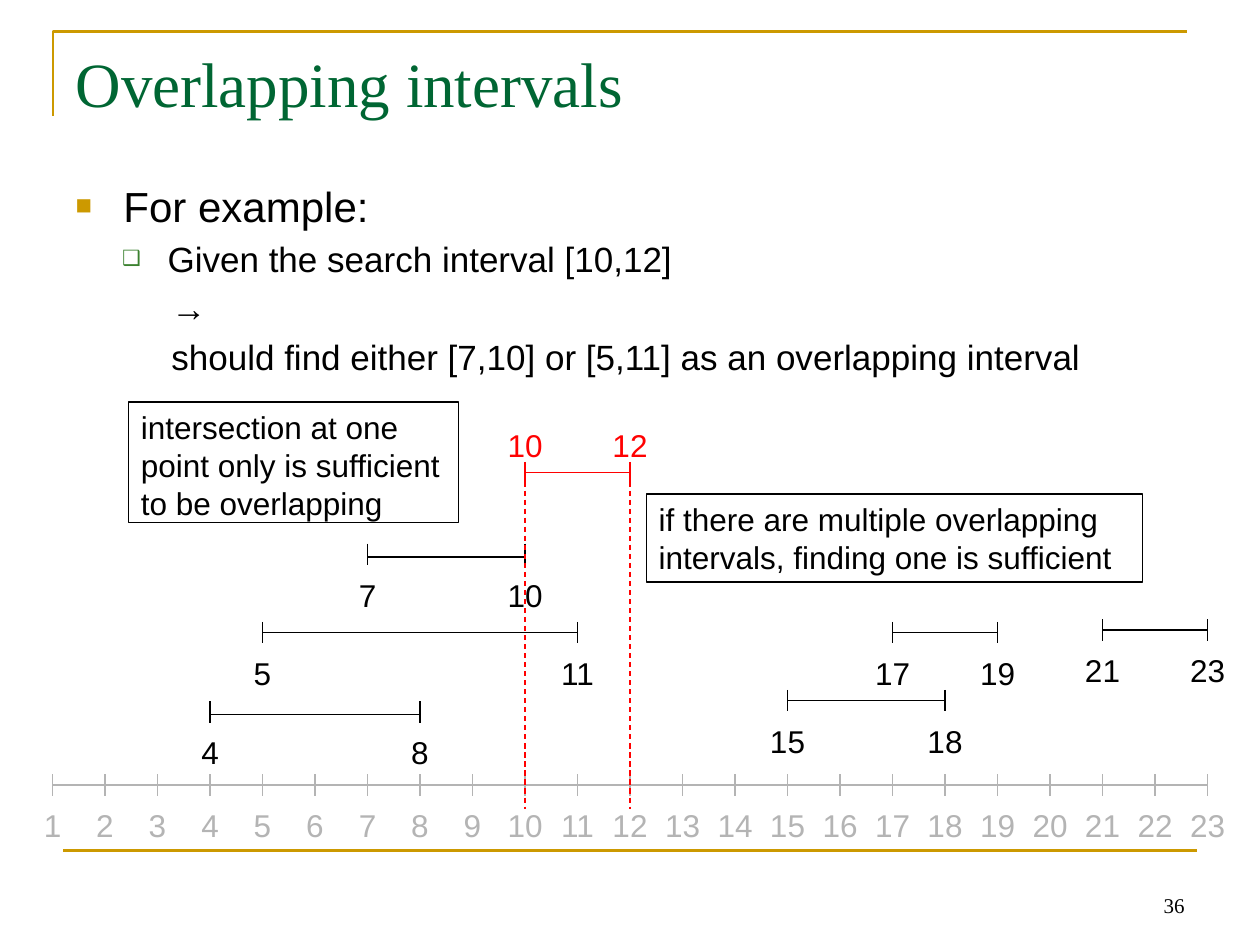
from dataclasses import dataclass

from lxml import etree
from pptx import Presentation
from pptx.dml.color import RGBColor
from pptx.enum.dml import MSO_LINE
from pptx.enum.shapes import MSO_CONNECTOR, MSO_SHAPE
from pptx.enum.text import MSO_ANCHOR, PP_ALIGN
from pptx.oxml.ns import qn
from pptx.util import Inches, Pt

STRAIGHT, RECT = MSO_CONNECTOR.STRAIGHT, MSO_SHAPE.RECTANGLE
TOP, BOTTOM = MSO_ANCHOR.TOP, MSO_ANCHOR.BOTTOM
LEFT, CENTER, RIGHT = PP_ALIGN.LEFT, PP_ALIGN.CENTER, PP_ALIGN.RIGHT
DASH = MSO_LINE.DASH
BLACK, GRAY, RED, GOLD, GREEN = "000000", "B4B4B4", "FF0101", "CC9900", "006633"
SANS, SERIF = "Arial", "Times New Roman"
STEP = 5 / 12   # inches per unit on the number line
TICK = 0.17     # tick height
GAP = 0.12      # from tick centre to the label below


@dataclass
class Span:
    marks: list[int]
    y: float
    drop: float = 0     # bar offset from the tick centre
    label: float = GAP  # label top offset from the tick centre
    color: str = BLACK


@dataclass
class Item:
    text: str
    size: int
    level: int
    margin: float
    hang: float = 0
    before: float = 0
    mark: str = ""
    tint: str = ""
    scale: int = 100


@dataclass
class Note:
    text: str
    box: tuple[float, float, float, float]


SPANS = [
    Span(list(range(1, 24)), 6.23, color=GRAY),
    Span([4, 8], 5.65, drop=0.02),
    Span([5, 11], 5.02),
    Span([7, 10], 4.4, drop=0.02),
    Span([15, 18], 5.56),
    Span([17, 19], 5.02),
    Span([21, 23], 5),
]
QUERY = Span([10, 12], 3.75, label=-0.42, color=RED)
ITEMS = [
    Item("For example:", 24, 0, 0.38, -0.38, 0, "■", GOLD, 65),
    Item("Given the search interval [10,12]", 20, 1, 0.73, -0.36, 4, "❑", "3B812F", 60),
    Item("→", 20, 1, 0.76, before=4),
    Item("should find either [7,10] or [5,11] as an overlapping interval", 20, 1, 0.76, before=4),
]
NOTES = [
    Note("intersection at one point only is sufficient to be overlapping", (1.02, 3.19, 2.62, 0.96)),
    Note("if there are multiple overlapping intervals, finding one is sufficient", (5.13, 3.92, 3.94, 0.7)),
]


def rgb(code: str) -> RGBColor:
    return RGBColor.from_string(code)


def apply(obj, vals: dict) -> None:
    for key, val in vals.items():
        setattr(obj, key, val)


def write(shape, text: str, size: int, face: str, color: str, align=LEFT, anchor=TOP, wrap=True) -> None:
    frame = shape.text_frame
    apply(frame, {"text": text, "word_wrap": wrap, "vertical_anchor": anchor})
    para = frame.paragraphs[0]
    para.alignment = align
    apply(para.font, {"size": Pt(size), "name": face})
    para.font.color.rgb = rgb(color)


def place(shape, *box: float) -> None:
    apply(shape, dict(zip(("left", "top", "width", "height"), map(Inches, box))))


def rule(shapes, x1: float, y1: float, x2: float, y2: float, color: str, width=0.75, dash=None) -> None:
    line = shapes.add_connector(STRAIGHT, *map(Inches, (x1, y1, x2, y2)))
    line.line.color.rgb = rgb(color)
    apply(line.line, {"width": Pt(width), "dash_style": dash})
    etree.SubElement(line._element.spPr, qn("a:effectLst"))


def draw_span(shapes, span: Span) -> None:
    group = shapes.add_group_shape().shapes
    bar = span.y + span.drop
    rule(group, span.marks[0] * STEP, bar, span.marks[-1] * STEP, bar, span.color)
    for num in span.marks:
        x = num * STEP
        rule(group, x, span.y - TICK / 2, x, span.y + TICK / 2, span.color)
        wide = 0.34 if num < 10 else 0.48
        box = group.add_textbox(*map(Inches, (x - wide / 2, span.y + span.label, wide, 0.4)))
        write(box, str(num), 18, SANS, span.color, CENTER, wrap=False)


def draw_item(para, item: Item) -> None:
    apply(para, {"text": item.text, "level": item.level, "alignment": LEFT, "space_before": Pt(item.before)})
    props = para._p.get_or_add_pPr()
    props.set("marL", str(Inches(item.margin)))
    props.set("indent", str(Inches(item.hang)))
    if item.mark:
        tint = etree.SubElement(props, qn("a:buClr"))
        etree.SubElement(tint, qn("a:srgbClr"), val=item.tint)
        etree.SubElement(props, qn("a:buSzPct"), val=str(item.scale * 1000))
        etree.SubElement(props, qn("a:buFont"), typeface=SANS)
        etree.SubElement(props, qn("a:buChar"), char=item.mark)
    else:
        etree.SubElement(props, qn("a:buNone"))
    apply(para.font, {"size": Pt(item.size), "name": SANS})
    para.font.color.rgb = rgb(BLACK)


def draw_note(shapes, note: Note) -> None:
    box = shapes.add_shape(RECT, *map(Inches, note.box))
    box.shadow.inherit = False
    box.fill.background()
    box.line.color.rgb = rgb(BLACK)
    box.line.width = Pt(0.75)
    write(box, note.text, 18, SANS, BLACK)


def main() -> None:
    deck = Presentation()
    apply(deck, {"slide_width": Inches(10), "slide_height": Inches(7.5)})
    slide = deck.slides.add_slide(deck.slide_layouts[1])
    shapes = slide.shapes

    # Frame lines and page number
    path = shapes.build_freeform(Inches(0.42), Inches(0.92))
    path.add_line_segments([(Inches(0.42), Inches(0.25)), (Inches(9.42), Inches(0.25))], close=False)
    edge = path.convert_to_shape()
    edge.shadow.inherit = False
    edge.fill.background()
    edge.line.color.rgb = rgb(GOLD)
    edge.line.width = Pt(1.5)
    rule(shapes, 0.5, 6.75, 9.5, 6.75, GOLD, 1.5)
    page = shapes.add_textbox(*map(Inches, (7.17, 6.83, 2.33, 0.5)))
    write(page, "36", 12, SERIF, BLACK, RIGHT, BOTTOM)

    # Title and list
    place(shapes.title, 0.5, 0.3, 9, 1.25)
    write(shapes.title, "Overlapping intervals", 36, SERIF, GREEN)
    body = slide.placeholders[1]
    place(body, 0.5, 1.38, 9, 4.95)
    frame = body.text_frame
    for i, item in enumerate(ITEMS):
        draw_item(frame.add_paragraph() if i else frame.paragraphs[0], item)

    # Number line, stored intervals and search interval
    for span in SPANS + [QUERY]:
        draw_span(shapes, span)
    for num in QUERY.marks:
        rule(shapes, num * STEP, QUERY.y, num * STEP, 6.42, RED, dash=DASH)

    # Remarks
    for note in NOTES:
        draw_note(shapes, note)

    deck.save("out.pptx")


if __name__ == "__main__":
    main()
